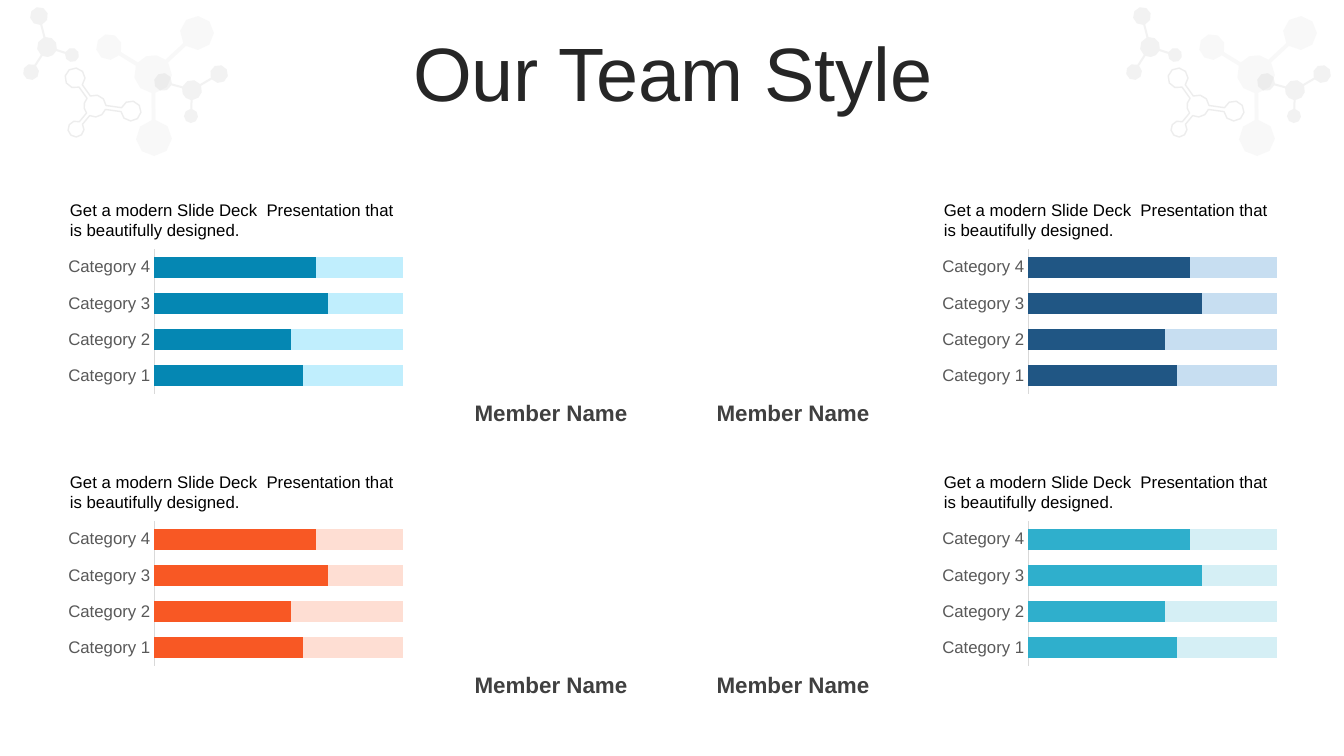
import math

import lxml.etree
import pptx
import pptx.chart.data
import pptx.dml.color
import pptx.enum.chart
import pptx.enum.shapes
import pptx.enum.text
import pptx.oxml
import pptx.oxml.ns
import pptx.util

RGB = pptx.dml.color.RGBColor
PX = 914400 / 100.8
FONT = "Arial"

INK = RGB(0x26, 0x26, 0x26)
BLACK = RGB(0x00, 0x00, 0x00)
NAME_GREY = RGB(0x40, 0x40, 0x40)
LABEL_GREY = RGB(0x59, 0x59, 0x59)
AXIS_GREY = RGB(0xD9, 0xD9, 0xD9)
PALE_GREY = RGB(0xF2, 0xF2, 0xF2)
MID_GREY = RGB(0x80, 0x80, 0x80)
LINE_GREY = RGB(0xA6, 0xA6, 0xA6)
BLUE, BLUE_TINT = RGB(0x05, 0x87, 0xB3), RGB(0xC0, 0xEE, 0xFD)
NAVY, NAVY_TINT = RGB(0x20, 0x56, 0x84), RGB(0xC7, 0xDE, 0xF1)
ORANGE, ORANGE_TINT = RGB(0xF8, 0x58, 0x24), RGB(0xFE, 0xDE, 0xD3)
TEAL, TEAL_TINT = RGB(0x2F, 0xAF, 0xCC), RGB(0xD5, 0xEF, 0xF5)

# Each molecule: fill, line, opacity in percent, bond half-width,
# centre atom, outer atoms; an atom is x, y, radius
MOLECULES = [
    (PALE_GREY, None, 100, 1, (192, 90, 10),
     [(219, 74, 9), (191, 116, 7), (163, 82, 9)]),
    (None, LINE_GREY, 20, 2, (95, 106, 11),
     [(131, 111, 10), (76, 129, 8), (75, 78, 10)]),
    (MID_GREY, None, 5, 2, (153, 74, 19),
     [(197, 33, 17), (109, 47, 13), (154, 138, 18)]),
    (PALE_GREY, None, 100, 1, (47, 47, 10),
     [(39, 16, 9), (31, 72, 8), (72, 55, 7)]),
]

BLURB = "Get a modern Slide Deck  Presentation that is beautifully designed."
CATEGORIES = [f"Category {n}" for n in range(1, 5)]
SKILLS = [60, 55, 70, 65]


def px(n):
    return pptx.util.Emu(round(n * PX))


def add_run(p, text, size, color, bold=False):
    r = p.add_run()
    r.text = text
    r.font.name = FONT
    r.font.size = pptx.util.Pt(size)
    r.font.bold = bold
    r.font.color.rgb = color


def arc(atom, start, end, steps):
    x, y, radius = atom
    for i in range(steps + 1):
        a = start + (end - start) * i / steps
        yield px(x + radius * math.cos(a)), px(y + radius * math.sin(a))


def molecule_outline(centre, atoms, bond):
    """Walk round the centre atom, going out and back along each bond."""
    def angle(atom):
        return math.atan2(atom[1] - centre[1], atom[0] - centre[0])

    atoms = sorted(atoms, key=angle)
    gap = math.asin(bond / centre[2])
    points = []
    for i, atom in enumerate(atoms):
        a = angle(atom)
        following = angle(atoms[(i + 1) % len(atoms)])
        if following <= a:
            following += 2 * math.pi
        neck = math.asin(bond / atom[2])
        points += arc(atom, a + math.pi + neck, a + 3 * math.pi - neck, 8)
        points += arc(centre, a + gap, following - gap, 3)
    return points


def set_opacity(color_format, percent):
    clr = color_format._xFill.find(".//" + pptx.oxml.ns.qn("a:srgbClr"))
    alpha = lxml.etree.SubElement(clr, pptx.oxml.ns.qn("a:alpha"))
    alpha.set("val", str(percent * 1000))


def add_molecules(s, left):
    for fill, line, opacity, bond, centre, atoms in MOLECULES:
        centre, *atoms = [(left + x, y, r) for x, y, r in [centre, *atoms]]
        points = molecule_outline(centre, atoms, bond)
        builder = s.shapes.build_freeform(*points[0], scale=1.0)
        builder.add_line_segments(points[1:], close=True)
        sp = builder.convert_to_shape()
        sp.shadow.inherit = False
        if fill is None:
            sp.fill.background()
            sp.line.width = pptx.util.Pt(1)
            sp.line.color.rgb = line
            paint = sp.line.fill
        else:
            sp.line.fill.background()
            sp.fill.solid()
            sp.fill.fore_color.rgb = fill
            paint = sp.fill
        if opacity < 100:
            set_opacity(paint.fore_color, opacity)


def add_title(s, left, top, width, height):
    sp = s.shapes.title
    sp.left, sp.top, sp.width, sp.height = map(px, (left, top, width, height))
    tf = sp.text_frame
    tf.auto_size = pptx.enum.text.MSO_AUTO_SIZE.NONE
    tf.vertical_anchor = pptx.enum.text.MSO_ANCHOR.MIDDLE
    p = tf.paragraphs[0]
    p.alignment = pptx.enum.text.PP_ALIGN.CENTER
    p.line_spacing = 0.9
    add_run(p, "Our Team Style", 54, INK)


def add_skill_chart(s, left, top, width, height, color, tint):
    data = pptx.chart.data.CategoryChartData()
    data.categories = CATEGORIES
    data.add_series("Series 1", SKILLS)
    data.add_series("Series 2", [100 - v for v in SKILLS])
    data.add_series("Series 3", [0] * len(SKILLS))
    chart = s.shapes.add_chart(
        pptx.enum.chart.XL_CHART_TYPE.BAR_STACKED_100,
        px(left), px(top), px(width), px(height), data).chart
    chart.has_legend = chart.has_title = False
    chart.font.name, chart.font.size = FONT, pptx.util.Pt(10)
    chart.font.color.rgb = BLACK

    plot = chart.plots[0]
    plot.gap_width, plot.overlap = 73, 100
    plot.vary_by_categories = False
    for series, fill in zip(plot.series, (color, tint, NAVY)):
        series.format.fill.solid()
        series.format.fill.fore_color.rgb = fill

    axis = chart.category_axis
    axis.major_tick_mark = pptx.enum.chart.XL_TICK_MARK.NONE
    axis.format.line.color.rgb = AXIS_GREY
    axis.format.line.width = pptx.util.Pt(0.75)
    font = axis.tick_labels.font
    font.name, font.size = FONT, pptx.util.Pt(12)
    font.color.rgb = LABEL_GREY
    chart.value_axis.has_major_gridlines = False
    chart.value_axis.visible = False

    # Fixed plot area, leaving room for the category labels
    area = chart._chartSpace.chart.plotArea
    for old in area.findall(pptx.oxml.ns.qn("c:layout")):
        area.remove(old)
    parts = [("layoutTarget", "inner"), ("xMode", "edge"), ("yMode", "edge"),
             ("x", 0.27), ("y", 0.02), ("w", 0.71), ("h", 0.96)]
    layout = lxml.etree.Element(pptx.oxml.ns.qn("c:layout"))
    manual = lxml.etree.SubElement(layout, pptx.oxml.ns.qn("c:manualLayout"))
    for tag, val in parts:
        item = lxml.etree.SubElement(manual, pptx.oxml.ns.qn("c:" + tag))
        item.set("val", str(val))
    area.insert(0, layout)


def add_skill_panel(s, left, top, width, color, tint):
    add_skill_chart(s, left, top + 51, width, 151, color, tint)
    sp = s.shapes.add_shape(pptx.enum.shapes.MSO_SHAPE.PENTAGON,
                            px(left), px(top), px(width), px(50))
    sp.adjustments[0] = 0
    sp.shadow.inherit = False
    sp.fill.background()
    sp.line.fill.background()
    tf = sp.text_frame
    tf.word_wrap = True
    tf.vertical_anchor = pptx.enum.text.MSO_ANCHOR.TOP
    p = tf.paragraphs[0]
    p.alignment = pptx.enum.text.PP_ALIGN.LEFT
    add_run(p, BLURB, 12, BLACK)


def add_member_name(s, left, top, width, height):
    tf = s.shapes.add_textbox(*map(px, (left, top, width, height))).text_frame
    tf.word_wrap = True
    tf.vertical_anchor = pptx.enum.text.MSO_ANCHOR.MIDDLE
    p = tf.paragraphs[0]
    p.alignment = pptx.enum.text.PP_ALIGN.CENTER
    add_run(p, "Member Name", 16, NAME_GREY, bold=True)


def main():
    prs = pptx.Presentation()
    prs.slide_width, prs.slide_height = px(1344), px(756)
    s = prs.slides.add_slide(prs.slide_layouts[5])

    # Header
    for left in (1103, 0):
        add_molecules(s, left)
    add_title(s, 35, 37, 1276, 80)

    # Two rows of two members
    rows = [[(BLUE, BLUE_TINT), (NAVY, NAVY_TINT)],
            [(ORANGE, ORANGE_TINT), (TEAL, TEAL_TINT)]]
    for row, members in enumerate(rows):
        top = 195 + 272 * row
        for col, (color, tint) in enumerate(members):
            add_skill_panel(s, 60 + 874 * col, top, 350, color, tint)
            add_member_name(s, 462 + 242 * col, top + 202, 178, 31)

    prs.save("out.pptx")


if __name__ == "__main__":
    main()
